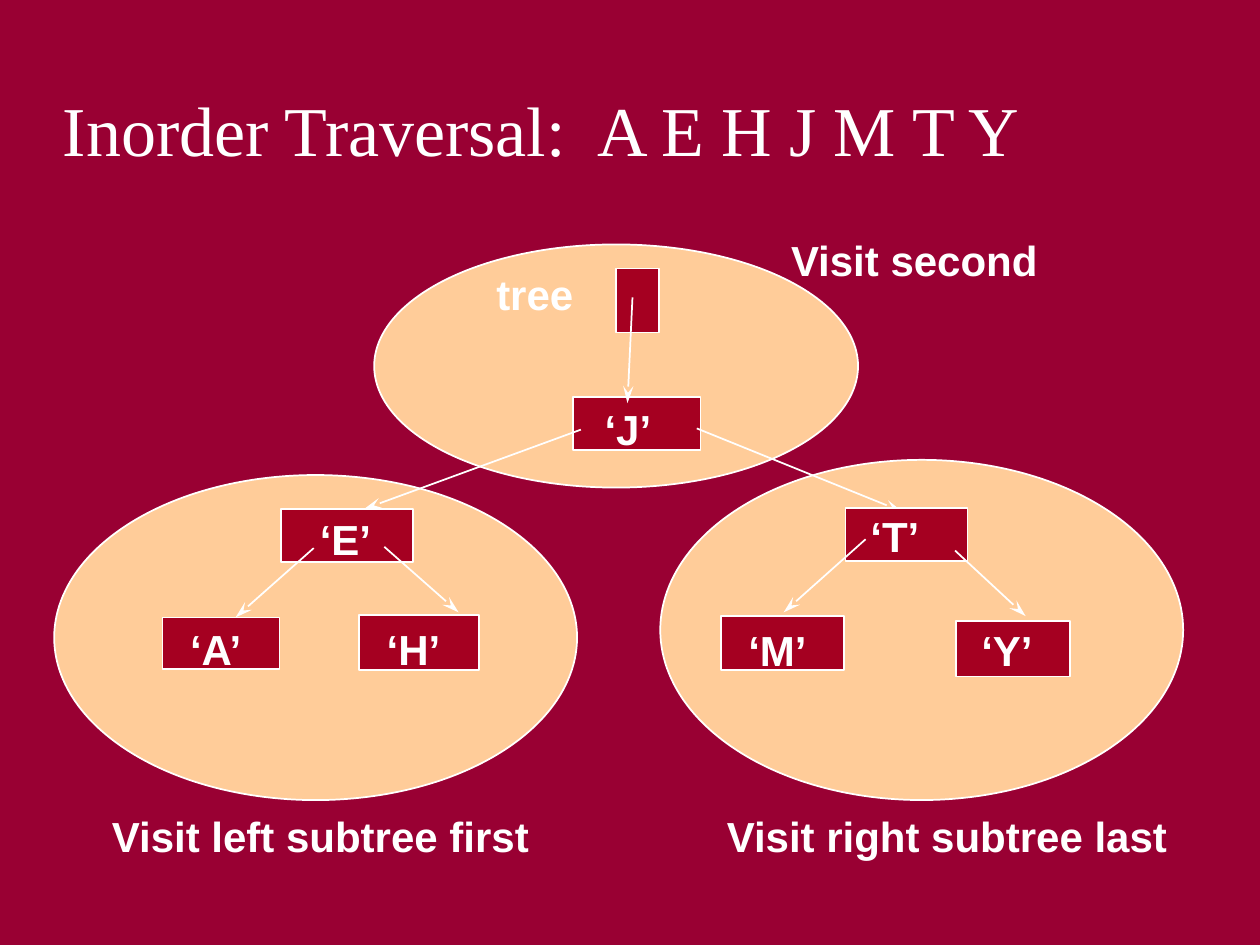
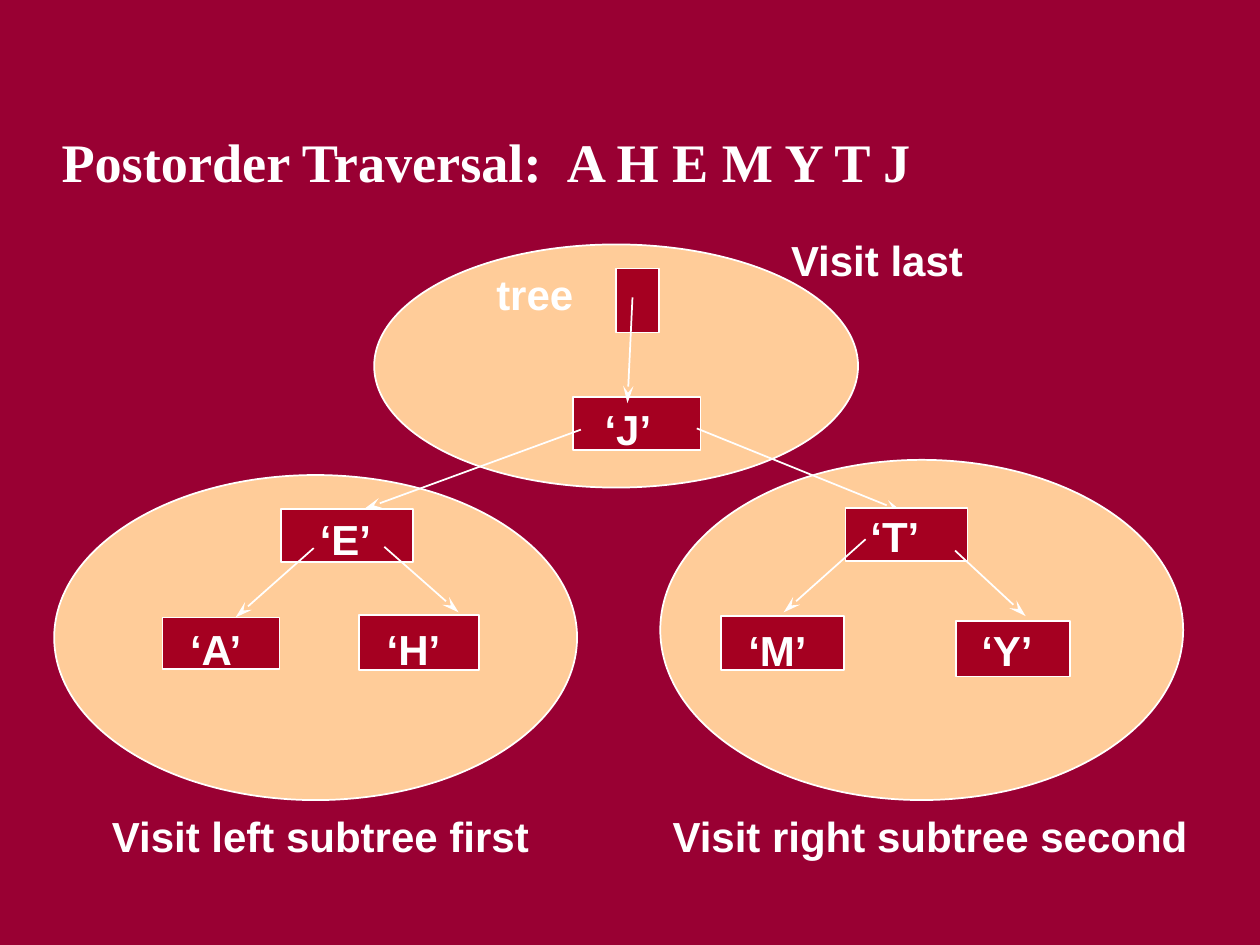
from pptx import Presentation
from pptx.dml.color import RGBColor
from pptx.enum.shapes import MSO_CONNECTOR as Connector, MSO_SHAPE as Shape
from pptx.enum.text import MSO_ANCHOR as Anchor
from pptx.oxml.ns import qn
from pptx.util import Inches, Pt
from lxml.etree import SubElement

# The slide is a grid of 100 columns by 75 rows.
UNIT = Inches(0.1)
COLUMNS, ROWS = 100, 75

BACKGROUND, REGION, NODE, WHITE = "990033", "FFCC99", "A50021", "FFFFFF"
LABEL_FONT = {"name": "Arial", "size": Pt(24), "bold": True}
LABEL_WIDTH, LABEL_HEIGHT = 7.5, 5

ROOT_BOX = (29.7, 19.4, 38.4, 19.3)
LEFT_BOX = (4.3, 37.7, 41.5, 25.8)
RIGHT_BOX = (52.4, 36.5, 41.5, 27)

# Nodes: letter, box, label corner. Arrows: start, end. All relative to the region.
LEFT_NODES = [
    ("E", (18, 2.7, 10.5, 4.2), (20.1, 2.6)),
    ("A", (8.6, 11.3, 9.3, 4.1), (9.8, 11.3)),
    ("H", (24.2, 11.1, 9.5, 4.4), (25.4, 11.3)),
]
LEFT_ARROWS = [((20.6, 5.8), (14.4, 11.3)), ((26.2, 5.7), (32.1, 10.9))]
RIGHT_NODES = [
    ("T", (14.7, 3.8, 9.7, 4.2), (15.7, 3.5)),
    ("M", (4.8, 12.4, 9.8, 4.3), (6, 12.6)),
    ("Y", (23.5, 12.8, 9, 4.4), (24.5, 12.6)),
]
RIGHT_ARROWS = [((16.3, 6.3), (9.8, 12.1)), ((23.4, 7.2), (29, 12.4))]
ROOT_NODES = [("J", (15.8, 12.1, 10.1, 4.2), (17.3, 12.1))]
ROOT_ARROWS = [
    ((20.5, 4.2), (20.1, 12.6)),
    ((16.4, 14.7), (-0.8, 21)),
    ((25.6, 14.6), (41.9, 21.2)),
]
TREE_POINTER = (19.2, 1.9, 3.4, 5.1)
TREE_LABEL = (8.7, 1.4, 8.2, LABEL_HEIGHT)

SLIDES = [
    {
        "title": "Inorder Traversal:\tA E H J M T Y",
        "title_box": (4, 1.5, 93.1, 12.5),
        "title_font": {"name": "Times New Roman", "size": Pt(40), "bold": False},
        "sequence_tab": 42.4,
        "captions": [
            ("Visit left subtree first", 7.9, 63.8, 35.2),
            ("Visit right subtree last", 56.7, 63.8, 37),
            ("Visit second", 61.8, 18.1, 21.7),
        ],
    },
    {
        "title": "Postorder Traversal:\tA H E M Y T J",
        "title_box": (3.9, 3.3, 93.1, 12.5),
        "title_font": {"name": "Times New Roman", "size": Pt(31), "bold": True},
        "sequence_tab": 40.1,
        "captions": [
            ("Visit left subtree first", 7.9, 63.8, 35.2),
            ("Visit right subtree second", 52.4, 63.8, 43),
            ("Visit last", 61.8, 18.1, 15.7),
        ],
    },
]


def color(hex_string):
    return RGBColor.from_string(hex_string)


def grid(*lengths):
    return [round(length * UNIT) for length in lengths]


def within(region, part):
    """Move a point or box from region coordinates to slide coordinates."""
    return (region[0] + part[0], region[1] + part[1], *part[2:])


def add_outlined(slide, kind, box, fill):
    shape = slide.shapes.add_shape(kind, *grid(*box))
    shape.shadow.inherit = False
    shape.fill.solid()
    shape.fill.fore_color.rgb = color(fill)
    shape.line.color.rgb = color(WHITE)
    shape.line.width = Pt(1)


def add_text(slide, text, box, font, anchor=Anchor.TOP, wrap=False, tab=None):
    frame = slide.shapes.add_textbox(*grid(*box)).text_frame
    frame.word_wrap = wrap
    frame.vertical_anchor = anchor
    paragraph = frame.paragraphs[0]
    paragraph.text = text
    if tab is not None:
        tabs = SubElement(paragraph._p.get_or_add_pPr(), qn("a:tabLst"))
        SubElement(tabs, qn("a:tab"), pos=str(grid(tab)[0]), algn="l")
    for run in paragraph.runs:
        for name, value in font.items():
            setattr(run.font, name, value)
        run.font.color.rgb = color(WHITE)


def add_arrow(slide, start, end):
    arrow = slide.shapes.add_connector(Connector.STRAIGHT, *grid(*start, *end))
    arrow.line.color.rgb = color(WHITE)
    arrow.line.width = Pt(1)
    SubElement(arrow.line._get_or_add_ln(), qn("a:tailEnd"),
               type="stealth", w="med", len="lg")
    SubElement(arrow._element.spPr, qn("a:effectLst"))


def add_nodes(slide, region, nodes, arrows):
    """Draw lettered nodes of one region and the arrows that leave them."""
    for _, box, _ in nodes:
        add_outlined(slide, Shape.RECTANGLE, within(region, box), NODE)
    for start, end in arrows:
        add_arrow(slide, within(region, start), within(region, end))
    for letter, _, corner in nodes:
        label_box = within(region, (*corner, LABEL_WIDTH, LABEL_HEIGHT))
        add_text(slide, f"‘{letter}’", label_box, LABEL_FONT, wrap=True)


def add_root(slide, region):
    add_outlined(slide, Shape.RECTANGLE, within(region, TREE_POINTER), NODE)
    add_text(slide, "tree", within(region, TREE_LABEL), LABEL_FONT)
    add_nodes(slide, region, ROOT_NODES, ROOT_ARROWS)


def add_traversal_slide(presentation, content):
    slide = presentation.slides.add_slide(presentation.slide_layouts[6])
    slide.background.fill.solid()
    slide.background.fill.fore_color.rgb = color(BACKGROUND)
    for region in (RIGHT_BOX, ROOT_BOX, LEFT_BOX):
        add_outlined(slide, Shape.OVAL, region, REGION)
    add_text(slide, content["title"], content["title_box"], content["title_font"],
             Anchor.BOTTOM, wrap=True, tab=content["sequence_tab"])
    add_nodes(slide, LEFT_BOX, LEFT_NODES, LEFT_ARROWS)
    add_root(slide, ROOT_BOX)
    add_nodes(slide, RIGHT_BOX, RIGHT_NODES, RIGHT_ARROWS)
    for text, left, top, width in content["captions"]:
        add_text(slide, text, (left, top, width, LABEL_HEIGHT), LABEL_FONT)


def main():
    presentation = Presentation()
    presentation.slide_width, presentation.slide_height = grid(COLUMNS, ROWS)
    for content in SLIDES:
        add_traversal_slide(presentation, content)
    presentation.save("out.pptx")


if __name__ == "__main__":
    main()
